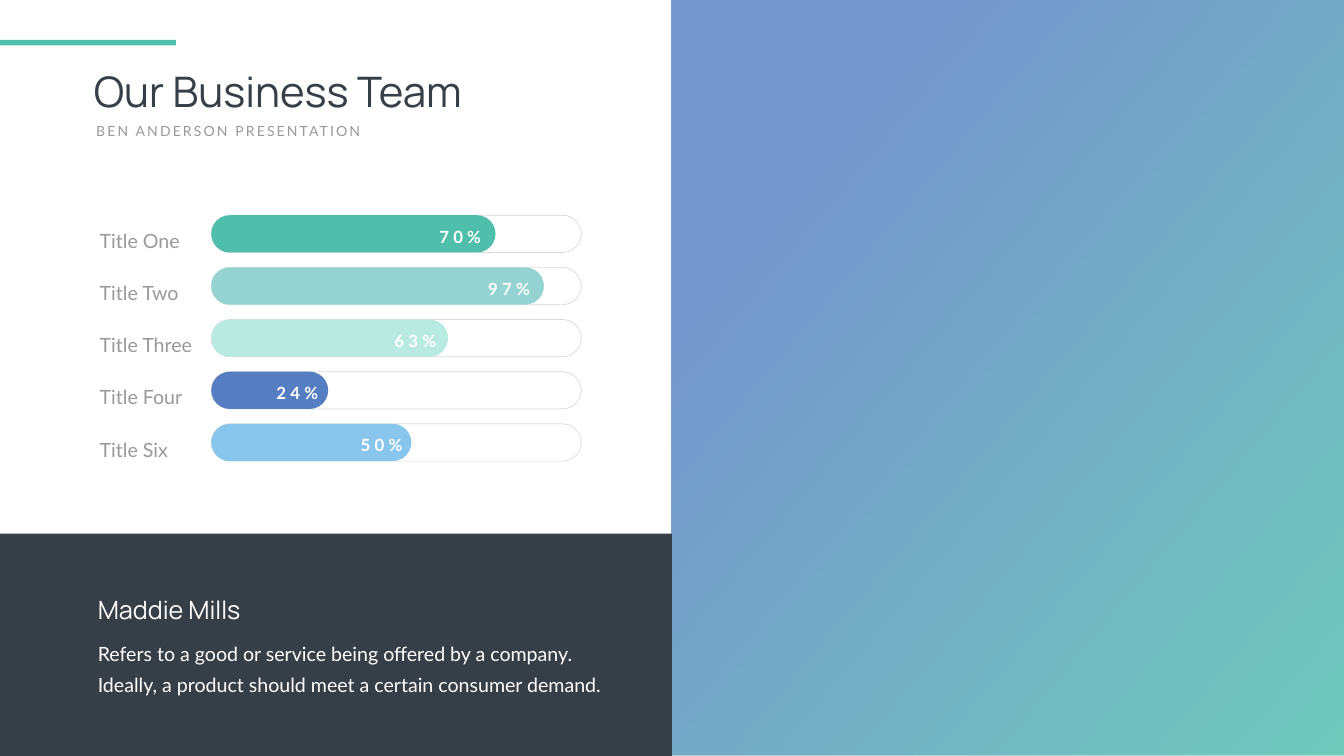
"""Build a team slide with a skills bar list, a profile panel and a gradient half."""
import pptx
import pptx.dml.color
import pptx.enum.shapes
import pptx.enum.text
import pptx.oxml
import pptx.oxml.ns
import pptx.util

Inches = pptx.util.Inches
Pt = pptx.util.Pt
SHAPE = pptx.enum.shapes.MSO_SHAPE
ALIGN = pptx.enum.text.PP_ALIGN

COLORS = {
    "green": "4FBFAC",
    "teal": "95D3D3",
    "mint": "B9EAE1",
    "blue": "557DC2",
    "sky": "88C6EE",
    "dark": "363E48",
    "grey": "999999",
    "outline": "D9D9D9",
    "white": "FFFFFF",
}
SKILLS = [
    ("Title One", "70%", "green", 5.64, 8.57),
    ("Title Two", "97%", "teal", 6.6, 9.54),
    ("Title Three", "63%", "mint", 4.7, 7.68),
    ("Title Four", "24%", "blue", 2.32, 5.34),
    ("Title Six", "50%", "sky", 3.97, 7.01),
]
BAR_LEFT, BAR_TOP, BAR_WIDTH, BAR_HEIGHT = 4.19, 4.27, 7.34, 0.74
BAR_PITCH = 1.035
HALF_WIDTH = 13.33


def rgb(name):
    return pptx.dml.color.RGBColor.from_string(COLORS[name])


def add_block(shapes, box, fill=None, line=None, kind=SHAPE.RECTANGLE):
    block = shapes.add_shape(kind, *map(Inches, box))
    block.shadow.inherit = False
    if fill:
        block.fill.solid()
        block.fill.fore_color.rgb = rgb(fill)
    else:
        block.fill.background()
    if line:
        block.line.color.rgb = rgb(line)
        block.line.width = Pt(1)
    else:
        block.line.fill.background()
    return block


def add_pill(shapes, top, width, fill=None, line=None):
    box = (BAR_LEFT, top, width, BAR_HEIGHT)
    pill = add_block(shapes, box, fill, line, SHAPE.ROUNDED_RECTANGLE)
    pill.adjustments[0] = 0.5


def add_text(shapes, box, text, size, color, font="Lato", bold=False, spacing=0,
             leading=None, align=ALIGN.LEFT, wrap=True, inset=(0.1, 0.05)):
    label = shapes.add_textbox(*map(Inches, box))
    frame = label.text_frame
    frame.text = text
    frame.word_wrap = wrap
    frame.auto_size = pptx.enum.text.MSO_AUTO_SIZE.SHAPE_TO_FIT_TEXT
    frame.margin_left = frame.margin_right = Inches(inset[0])
    frame.margin_top = frame.margin_bottom = Inches(inset[1])
    paragraph = frame.paragraphs[0]
    paragraph.alignment = align
    if leading:
        paragraph.line_spacing = Pt(leading)
    run = paragraph.runs[0]
    run.font.name = font
    run.font.size = Pt(size)
    run.font.bold = bold
    run.font.color.rgb = rgb(color)
    if spacing:
        run.font._element.set("spc", str(spacing * 100))


def add_gradient_panel(shapes):
    panel = add_block(shapes, (HALF_WIDTH, -0.02, HALF_WIDTH, 15.02), "blue")
    panel.fill.gradient()
    panel.fill.gradient_angle = 140
    for stop, color, position in zip(panel.fill.gradient_stops, ("green", "blue"), (0, 0.79)):
        stop.color.rgb = rgb(color)
        stop.position = position
    for tint in panel._element.spPr.iter(pptx.oxml.ns.qn("a:srgbClr")):
        alpha = pptx.oxml.parse_xml(f'<a:alpha {pptx.oxml.ns.nsdecls("a")} val="80000"/>')
        tint.append(alpha)


def add_heading(shapes):
    add_text(shapes, (1.81, 1.28, 9.71, 1.11), "Our Business Team", 60, "dark",
             font="Manrope", inset=(0.05, 0.025))
    add_block(shapes, (0, 0.79, 3.49, 0.11), "green")
    add_text(shapes, (1.81, 2.39, 5.85, 0.44), "BEN ANDERSON PRESENTATION", 20, "grey", spacing=3)


def add_profile(shapes):
    add_block(shapes, (0, 10.59, HALF_WIDTH, 4.41), "dark")
    profile = shapes.add_group_shape().shapes
    add_text(profile, (1.89, 12.59, 10.22, 1.24),
             "Refers to a good or service being offered by a company. "
             "Ideally, a product should meet a certain consumer demand.",
             28, "white", leading=43, inset=(0.05, 0.025))
    add_text(profile, (1.89, 11.76, 6.56, 0.73), "Maddie Mills", 36, "white",
             font="Manrope", inset=(0.05, 0.025))


def add_skills(shapes):
    skills = shapes.add_group_shape().shapes
    for row, (title, percent, color, width, percent_left) in enumerate(SKILLS):
        top = BAR_TOP + row * BAR_PITCH
        add_pill(skills, top, BAR_WIDTH, line="outline")
        add_pill(skills, top, width, fill=color)
        add_text(skills, (1.88, top + 0.12, 2.04, 0.49), title, 28, "grey", leading=40.8)
        add_text(skills, (percent_left, top + 0.17, 1.07, 0.4), percent, 24, "white",
                 bold=True, spacing=6, align=ALIGN.RIGHT, wrap=False)


def main():
    deck = pptx.Presentation()
    deck.slide_width = Inches(26.66)
    deck.slide_height = Inches(15)
    shapes = deck.slides.add_slide(deck.slide_layouts[6]).shapes
    add_gradient_panel(shapes)
    add_heading(shapes)
    add_profile(shapes)
    add_skills(shapes)
    deck.save("out.pptx")


if __name__ == "__main__":
    main()
